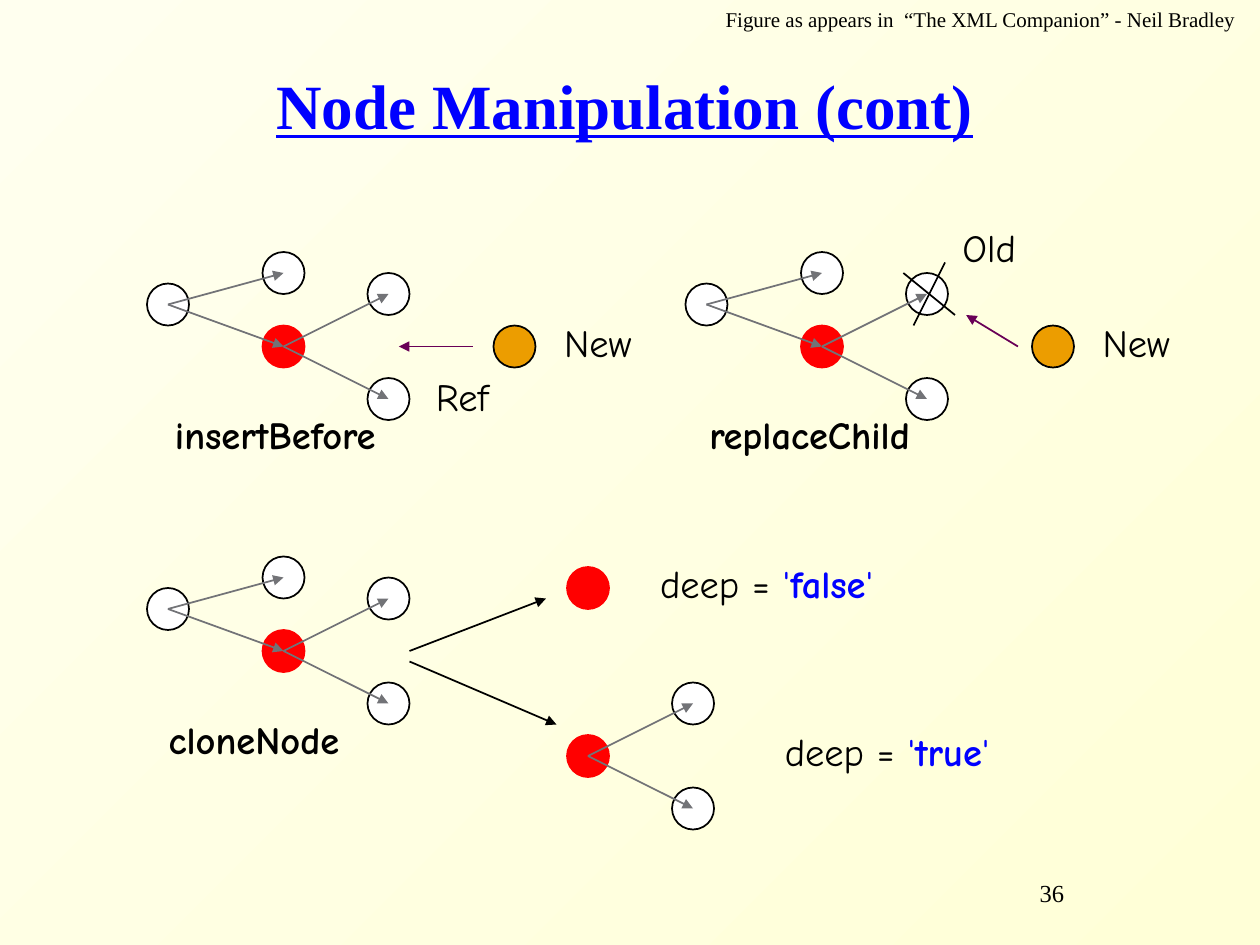
from lxml import etree
from pptx import Presentation
from pptx.dml.color import RGBColor
from pptx.enum.shapes import MSO_CONNECTOR, MSO_SHAPE
from pptx.enum.text import MSO_ANCHOR, MSO_AUTO_SIZE, PP_ALIGN
from pptx.oxml.ns import qn
from pptx.util import Pt

STRAIGHT, OVAL = MSO_CONNECTOR.STRAIGHT, MSO_SHAPE.OVAL
MIDDLE, CENTER = MSO_ANCHOR.MIDDLE, PP_ALIGN.CENTER
FIT_TEXT, FIXED = MSO_AUTO_SIZE.SHAPE_TO_FIT_TEXT, MSO_AUTO_SIZE.NONE

BLACK = RGBColor(0x00, 0x00, 0x00)
WHITE = RGBColor(0xFF, 0xFF, 0xFF)
RED = RGBColor(0xFF, 0x00, 0x00)
BLUE = RGBColor(0x00, 0x00, 0xFF)
ORANGE = RGBColor(0xEC, 0x9D, 0x00)
GREY = RGBColor(0x72, 0x73, 0x77)
PURPLE = RGBColor(0x69, 0x00, 0x57)
CREAM = RGBColor(0xFF, 0xFF, 0xD7)
IVORY = RGBColor(0xFF, 0xFF, 0xEF)

SERIF, HAND = "Times New Roman", "Comic Neue"
NODE_SIZE = 24
LABEL_HEIGHT = 33.8

# Node centres, measured from the top left corner of a tree
ROOT, SIBLING, PARENT, NEW_NODE = (12, 30), (78, 12), (78, 54), (210, 54)


def shift(origin, offset):
    return origin[0] + offset[0], origin[1] + offset[1]


def format_run(run, size=22, font=HAND, color=BLACK, bold=False, underline=False):
    run.font.size = Pt(size)
    run.font.name = font
    run.font.color.rgb = color
    run.font.bold = bold
    run.font.underline = underline


def add_text(shapes, text, corner, width, height=LABEL_HEIGHT, fit=True,
             indent=0, quoted=None, **style):
    """Add a text box, optionally ending in a blue quoted value."""
    box = shapes.add_textbox(*map(Pt, (*corner, width, height)))
    frame = box.text_frame
    frame.word_wrap = not fit
    frame.auto_size = FIT_TEXT if fit else FIXED
    paragraph = frame.paragraphs[0]
    if indent:
        paragraph._p.get_or_add_pPr().set("marL", str(Pt(indent)))
    parts = [(text, style)]
    if quoted:
        mark = ("'", {"color": BLUE})
        parts += [mark, (quoted, {"color": BLUE, "bold": True}), mark]
    for part, part_style in parts:
        run = paragraph.add_run()
        run.text = part
        format_run(run, **part_style)


def add_node(shapes, center, fill=WHITE, outline=BLACK):
    corner = shift(center, (-NODE_SIZE / 2, -NODE_SIZE / 2))
    node = shapes.add_shape(OVAL, *map(Pt, (*corner, NODE_SIZE, NODE_SIZE)))
    node.shadow.inherit = False
    node.fill.solid()
    node.fill.fore_color.rgb = fill
    node.line.color.rgb = outline
    node.line.width = Pt(1)


def add_line(shapes, start, end, color=BLACK, arrow=True):
    line = shapes.add_connector(STRAIGHT, *map(Pt, (*start, *end)))
    line.line.color.rgb = color
    line.line.width = Pt(1)
    if arrow:
        etree.SubElement(line.line._get_or_add_ln(), qn("a:tailEnd"), type="triangle")
    etree.SubElement(line._element.spPr, qn("a:effectLst"))


def add_subtree(shapes, parent):
    """Draw a red node with two children."""
    children = [shift(parent, (60, dy)) for dy in (30, -30)]
    add_node(shapes, parent, RED, RED)
    for child in children:
        add_node(shapes, child)
    for child in reversed(children):
        add_line(shapes, parent, child, GREY)


def add_tree(shapes, corner):
    root, sibling, parent = (shift(corner, node) for node in (ROOT, SIBLING, PARENT))
    add_node(shapes, root)
    add_node(shapes, sibling)
    add_subtree(shapes, parent)
    for child in (sibling, parent):
        add_line(shapes, root, child, GREY)


def add_new_node(shapes, corner, arrow_start, arrow_end):
    add_node(shapes, shift(corner, NEW_NODE), ORANGE)
    add_line(shapes, shift(corner, arrow_start), shift(corner, arrow_end), PURPLE)
    add_text(shapes, "New", shift(corner, (231.2, 34.6)), 54)


def add_insert_before(shapes, corner):
    add_tree(shapes, corner)
    add_new_node(shapes, corner, (186, 54), (144, 54))
    add_text(shapes, "Ref", shift(corner, (158, 65.5)), 46)
    add_text(shapes, "insertBefore", shift(corner, (8.9, 87.1)), 131, bold=True)


def add_replace_child(shapes, corner):
    add_tree(shapes, corner)
    add_new_node(shapes, corner, (190, 54), (160.4, 36))
    add_text(shapes, "Old", shift(corner, (151.2, -19.4)), 46)
    add_text(shapes, "replaceChild", shift(corner, (6.5, 87.1)), 131, bold=True)
    for start, end in (((124.5, 12), (154, 36)), ((148.3, 6), (130.3, 42))):
        add_line(shapes, shift(corner, start), shift(corner, end), arrow=False)


def add_clone_node(shapes, corner):
    add_tree(shapes, corner)
    add_text(shapes, "cloneNode", shift(corner, (5.3, 87.4)), 113, bold=True)
    add_node(shapes, shift(corner, (252, 18)), RED, RED)
    add_subtree(shapes, shift(corner, (252, 114)))
    for start, end in (((150, 54), (228, 24)), ((150, 60), (234, 96))):
        add_line(shapes, shift(corner, start), shift(corner, end))
    add_text(shapes, "deep = ", shift(corner, (286.1, -1.6)), 138, quoted="false")
    add_text(shapes, "deep = ", shift(corner, (357.4, 94.6)), 133, quoted="true")


def set_title(title, text, left, top, width, height):
    title.left, title.top, title.width, title.height = map(Pt, (left, top, width, height))
    frame = title.text_frame
    frame.vertical_anchor = MIDDLE
    frame.auto_size = FIXED
    paragraph = frame.paragraphs[0]
    paragraph.alignment = CENTER
    paragraph.line_spacing = 0.85
    run = paragraph.add_run()
    run.text = text
    format_run(run, size=36, font=SERIF, color=BLUE, bold=True, underline=True)


def set_background(slide):
    fill = slide.background.fill
    fill.gradient()
    fill.gradient_angle = 135
    for stop, color in zip(fill.gradient_stops, (CREAM, IVORY)):
        stop.color.rgb = color


def main():
    deck = Presentation()
    deck.slide_width, deck.slide_height = Pt(720), Pt(540)
    slide = deck.slides.add_slide(deck.slide_layouts[5])
    shapes = slide.shapes
    set_background(slide)
    set_title(shapes.title, "Node Manipulation (cont)", 72, 30, 570, 66)
    for add_operation, corner in (
        (add_insert_before, (84, 144)),
        (add_replace_child, (391.7, 144)),
        (add_clone_node, (84, 318)),
    ):
        add_operation(shapes.add_group_shape().shapes, corner)
    add_text(shapes, "Figure as appears in  “The XML Companion” - Neil Bradley",
             (407.5, 0), 306, 21.6, size=12, font=SERIF)
    add_text(shapes, "36", (570, 498), 150, 36, fit=False, indent=17,
             size=14, font=SERIF)
    deck.save("out.pptx")


if __name__ == "__main__":
    main()
